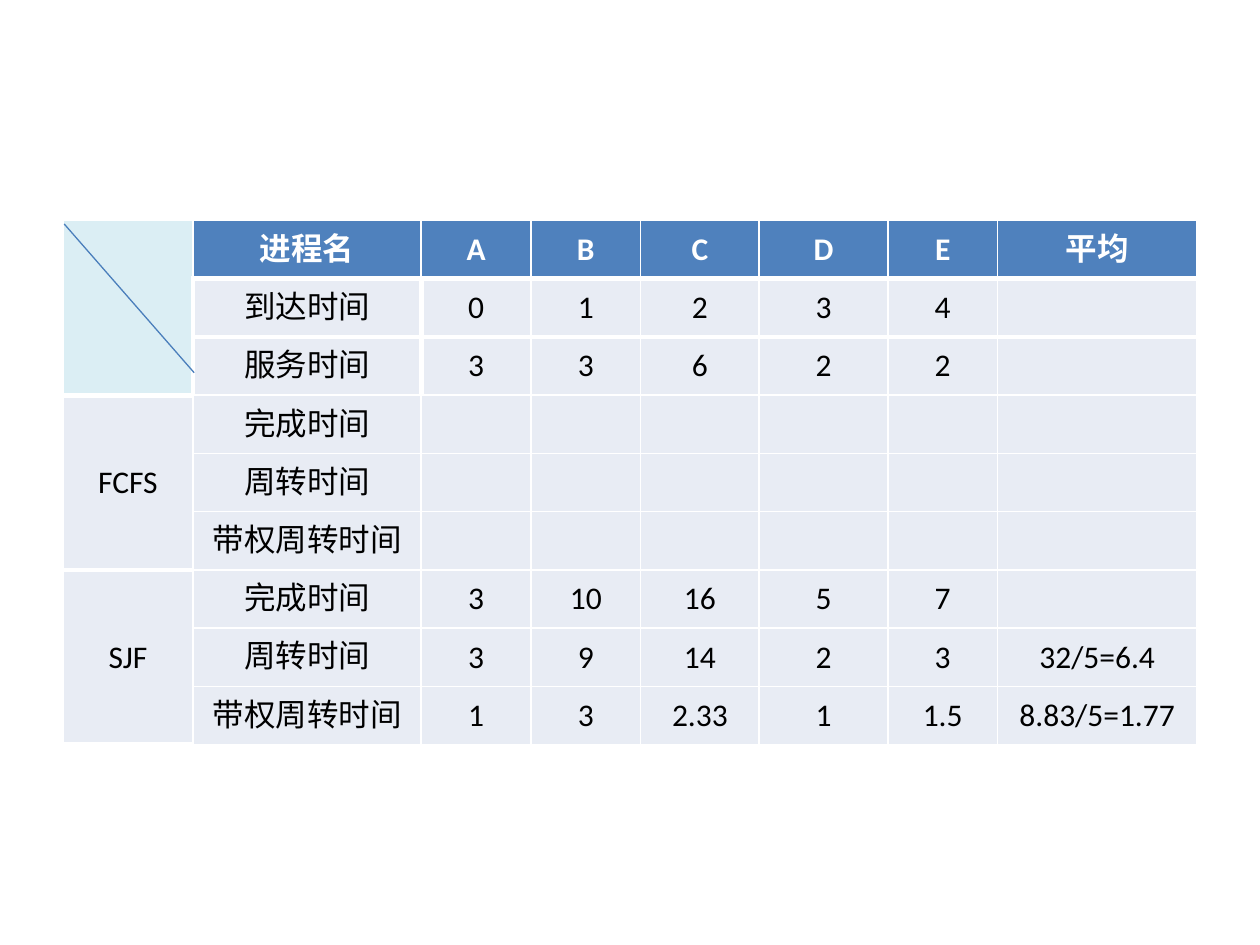
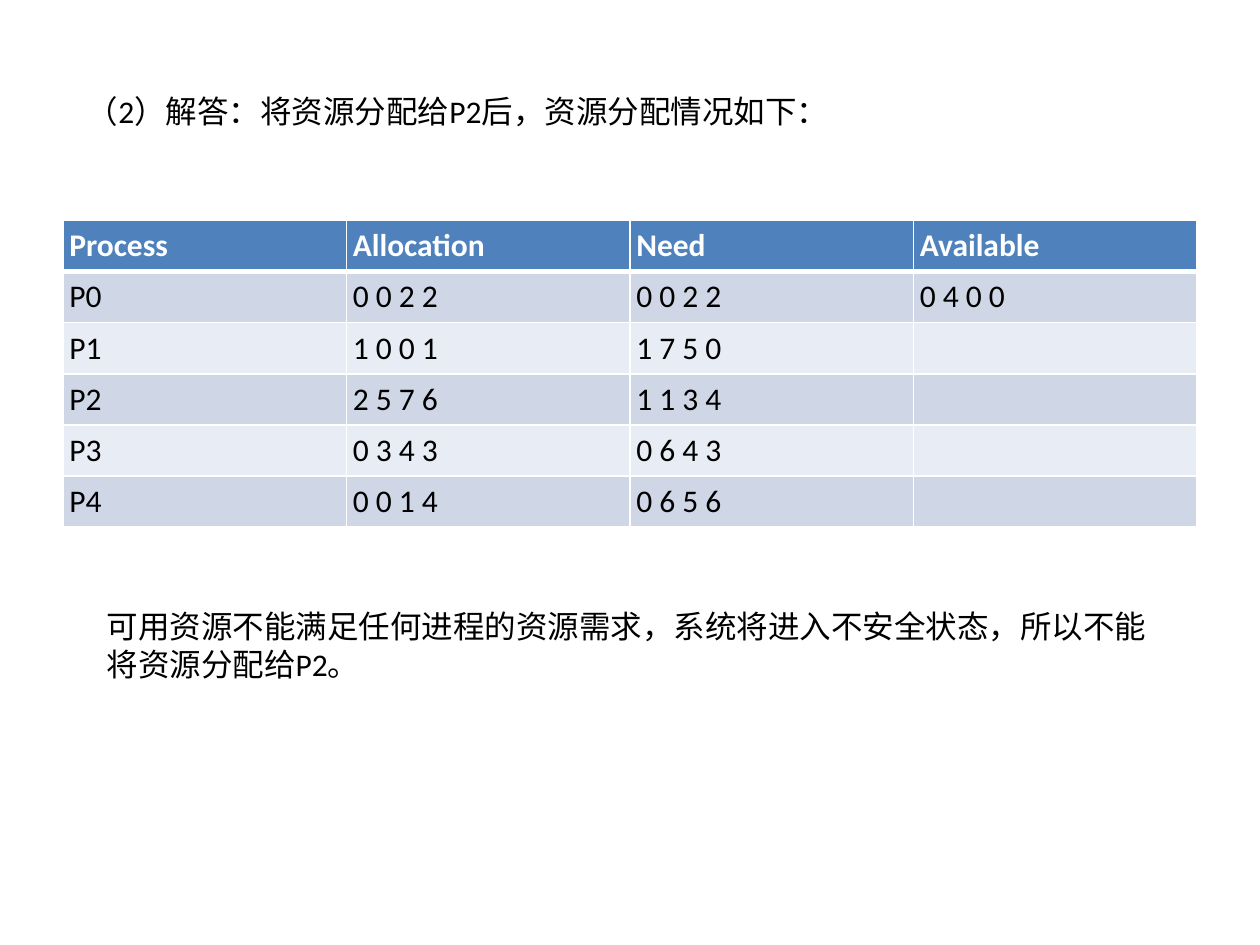
from dataclasses import dataclass
from itertools import groupby

from lxml.etree import SubElement
from pptx import Presentation
from pptx.dml.color import RGBColor
from pptx.enum.shapes import MSO_CONNECTOR
from pptx.enum.text import MSO_ANCHOR, MSO_AUTO_SIZE, PP_ALIGN
from pptx.oxml.ns import qn
from pptx.util import Pt


@dataclass(frozen=True)
class Theme:
    white: str = "FFFFFF"
    text: str = "000000"
    header: str = "4F81BD"
    light: str = "E8ECF4"
    dark: str = "CFD7E7"
    corner: str = "DBEEF4"
    diagonal: str = "4A7EBB"
    latin: str = "Calibri"
    chinese: str = "Roboto"
    size: float = 18
    inset: float = 3.6
    thin: float = 1
    thick: float = 3


T = Theme()
TABLE_BOX = (36, 126, 648)  # left, top, width


def rgb(value):
    return RGBColor.from_string(value)


# Text: Latin and Chinese stretches get their own fonts
def write(tf, text, color=T.text, bold=False, align=None):
    p = tf.paragraphs[0]
    p.alignment = align
    for is_latin, chars in groupby(text, str.isascii):
        r = p.add_run()
        r.text = "".join(chars)
        r.font.size, r.font.bold = Pt(T.size), bold
        r.font.color.rgb = rgb(color)
        r.font.name = T.latin if is_latin else T.chinese
        if not is_latin:
            SubElement(r.font._element, qn("a:ea"), typeface=T.chinese)


def set_insets(box):
    box.margin_left = box.margin_right = Pt(T.inset)
    box.margin_top = box.margin_bottom = Pt(T.inset)


def add_text(s, box, text):
    tf = s.shapes.add_textbox(*map(Pt, box)).text_frame
    tf.word_wrap = True
    tf.auto_size = MSO_AUTO_SIZE.SHAPE_TO_FIT_TEXT
    set_insets(tf)
    write(tf, text)


# Tables
def set_borders(cell, thick_sides):
    tc_pr = cell._tc.get_or_add_tcPr()
    for side in "LRTB":
        width = T.thick if side in thick_sides else T.thin
        ln = SubElement(tc_pr, qn(f"a:ln{side}"), w=str(Pt(width)))
        fill = SubElement(ln, qn("a:solidFill"))
        SubElement(fill, qn("a:srgbClr"), val=T.white)


def add_table(s, box, rows, row_height, widths, fill_of, thick_of,
              align=None, anchor=MSO_ANCHOR.TOP, merges=()):
    left, top, width = box
    frame = s.shapes.add_table(len(rows), len(widths), Pt(left), Pt(top),
                               Pt(width), Pt(row_height * len(rows)))
    table = frame.table
    for column, share in zip(table.columns, widths):
        column.width = Pt(round(width * share / sum(widths), 2))
    for row in table.rows:
        row.height = Pt(row_height)
    for first, last in merges:
        table.cell(*first).merge(table.cell(*last))
    for i, row in enumerate(rows):
        for j, text in enumerate(row):
            cell = table.cell(i, j)
            set_insets(cell)
            cell.vertical_anchor = anchor
            set_borders(cell, thick_of(i, j))
            cell.fill.solid()
            cell.fill.fore_color.rgb = rgb(fill_of(i, j))
            if text:
                write(cell.text_frame, text, T.white if i == 0 else T.text,
                      i == 0, align)


def header_rule(i, j):
    return {0: "B", 1: "T"}.get(i, "")


# Slide 1: comparison of scheduling algorithms
def scheduling_slide(s, box):
    measures = ["完成时间", "周转时间", "带权周转时间"]
    results = [
        ["3", "10", "16", "5", "7", ""],
        ["3", "9", "14", "2", "3", "32/5=6.4"],
        ["1", "3", "2.33", "1", "1.5", "8.83/5=1.77"],
    ]
    rows = [
        ["", "进程名", *"ABCDE", "平均"],
        ["", "到达时间", *"01234", ""],
        ["", "服务时间", *"33622", ""],
    ]
    for name, values in (("FCFS", [[""] * 6] * 3), ("SJF", results)):
        for k, measure in enumerate(measures):
            rows.append([name if k == 0 else "", measure, *values[k]])

    def fill_of(i, j):
        if j == 0:
            return T.corner if i < 3 else T.light
        return T.header if i == 0 else T.light

    def thick_of(i, j):
        if j == 0:
            return "RB" if i in (1, 2) else "TB" if i else "B"
        sides = header_rule(i, j)
        if i in (1, 2):
            sides += "B" if i == 1 else "T"
            sides += {1: "LR", 2: "L"}.get(j, "")
        return sides

    add_table(s, box, rows, 33.3,
              [1.03, 1.81, .87, .87, .94, 1.02, .87, 1.58],
              fill_of, thick_of, PP_ALIGN.CENTER, MSO_ANCHOR.MIDDLE,
              [((i, 0), (i + 2, 0)) for i in (0, 3, 6)])

    # Diagonal of the corner cell
    left, top, _ = box
    line = s.shapes.add_connector(MSO_CONNECTOR.STRAIGHT, Pt(left + .7),
                                  Pt(top + 2), Pt(left + 75), Pt(top + 87))
    line.line.color.rgb = rgb(T.diagonal)
    line.line.width = Pt(.75)
    SubElement(line._element.spPr, qn("a:effectLst"))


# Slide 2: resource allocation after granting P2
def allocation_slide(s, box):
    rows = [
        ["Process", "Allocation", "Need", "Available"],
        ["P0", "0 0 2 2", "0 0 2 2", "0 4 0 0"],
        ["P1", "1 0 0 1", "1 7 5 0", ""],
        ["P2", "2 5 7 6", "1 1 3 4", ""],
        ["P3", "0 3 4 3", "0 6 4 3", ""],
        ["P4", "0 0 1 4", "0 6 5 6", ""],
    ]

    def fill_of(i, j):
        if i == 0:
            return T.header
        return T.dark if i % 2 else T.light

    left, top, _ = box
    add_table(s, box, rows, 29.2, [1] * 4, fill_of, header_rule)
    add_text(s, (left + 10, top - 77, 420, 32.4),
             "（2）解答：将资源分配给P2后，资源分配情况如下：")
    add_text(s, (left + 21.3, top + 217.6, 616.3, 56.9),
             "可用资源不能满足任何进程的资源需求，系统将进入不安全状态，"
             "所以不能将资源分配给P2。")


def main():
    prs = Presentation()
    prs.slide_width, prs.slide_height = Pt(720), Pt(540)
    blank = prs.slide_layouts[6]
    for build in (scheduling_slide, allocation_slide):
        build(prs.slides.add_slide(blank), TABLE_BOX)
    prs.save("out.pptx")


if __name__ == "__main__":
    main()
